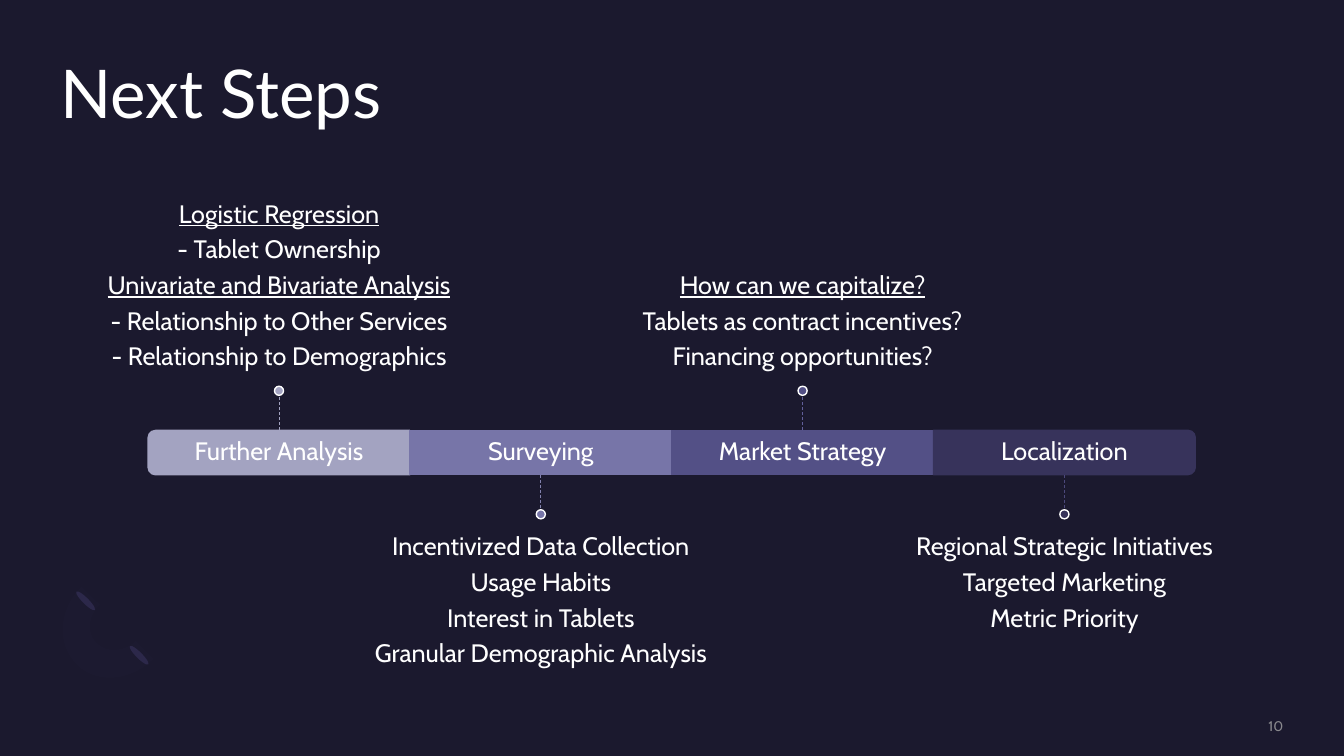
from lxml import etree
from pptx import Presentation
from pptx.dml.color import RGBColor
from pptx.enum.dml import MSO_LINE
from pptx.enum.shapes import MSO_CONNECTOR, MSO_SHAPE
from pptx.enum.text import MSO_ANCHOR, PP_ALIGN
from pptx.oxml.ns import qn
from pptx.util import Pt

COLORS = {"bg": "1B192E", "text": "FFFFFF", "petal": "2C284A", "arc": "7771B2", "number": "A6A6A6"}
BODY = {"size": 18, "font": "Cabin", "color": COLORS["text"], "align": PP_ALIGN.CENTER, "spacing": 0.9, "after": 6}
STEPS = [
    {"label": "Further Analysis", "fill": "A3A3C1", "line": "A3A3C1", "rotation": 270,
     "notes": ["Logistic Regression", "- Tablet Ownership", "Univariate and Bivariate Analysis",
               "- Relationship to Other Services", "- Relationship to Demographics"],
     "headings": (0, 2)},
    {"label": "Surveying", "fill": "7775A8", "line": "8281AE", "rotation": 0,
     "notes": ["Incentivized Data Collection", "Usage Habits", "Interest in Tablets",
               "Granular Demographic Analysis"],
     "headings": ()},
    {"label": "Market Strategy", "fill": "535086", "line": "625F9A", "rotation": 0,
     "notes": ["How can we capitalize?", "Tablets as contract incentives?", "Financing opportunities?"],
     "headings": (0,)},
    {"label": "Localization", "fill": "37335B", "line": "4C487B", "rotation": 90,
     "notes": ["Regional Strategic Initiatives", "Targeted Marketing", "Metric Priority"],
     "headings": ()},
]


def rgb(value):
    return RGBColor.from_string(value)


def set_alpha(fill_parent, percent):
    color = next(fill_parent.iter(qn("a:srgbClr")))
    etree.SubElement(color, qn("a:alpha"), val=str(percent * 1000))


def write(tf, lines, style, anchor=MSO_ANCHOR.TOP, margins=(0, 0, 0, 0), underlined=()):
    frame = {"word_wrap": True, "vertical_anchor": anchor}
    frame.update(zip(("margin_left", "margin_top", "margin_right", "margin_bottom"), map(Pt, margins)))
    for name, value in frame.items():
        setattr(tf, name, value)
    for i, line in enumerate(lines):
        p = tf.paragraphs[0] if i == 0 else tf.add_paragraph()
        paragraph = {"alignment": style["align"], "line_spacing": style["spacing"],
                     "space_after": Pt(style["after"]), "space_before": Pt(0)}
        for name, value in paragraph.items():
            setattr(p, name, value)
        r = p.add_run()
        r.text = line
        font = {"size": Pt(style["size"]), "name": style["font"], "underline": i in underlined or None}
        for name, value in font.items():
            setattr(r.font, name, value)
        r.font.color.rgb = rgb(style["color"])


def add_text(s, box, lines, style, **options):
    tf = s.shapes.add_textbox(*map(Pt, box)).text_frame
    write(tf, lines, style, **options)
    return tf


def add_filled(s, kind, box, fill, line=None, rotation=0):
    sp = s.shapes.add_shape(kind, *map(Pt, box))
    sp.shadow.inherit = False
    sp.rotation = rotation
    sp.fill.solid()
    sp.fill.fore_color.rgb = rgb(fill)
    if line:
        sp.line.color.rgb = rgb(line)
        sp.line.width = Pt(1)
    else:
        sp.line.fill.background()


def add_stem(s, x, y1, y2, color):
    cx = s.shapes.add_connector(MSO_CONNECTOR.STRAIGHT, Pt(x), Pt(y1), Pt(x), Pt(y2))
    cx.line.color.rgb = rgb(color)
    cx.line.width = Pt(0.5)
    cx.line.dash_style = MSO_LINE.DASH
    etree.SubElement(cx.element.spPr, qn("a:effectLst"))


def bezier(p0, p1, p2, p3, steps=12):
    for i in range(1, steps + 1):
        t = i / steps
        weights = ((1 - t) ** 3, 3 * t * (1 - t) ** 2, 3 * t * t * (1 - t), t ** 3)
        yield tuple(sum(w * p[k] for w, p in zip(weights, (p0, p1, p2, p3))) for k in (0, 1))


def add_ornament(s, box):
    left, top, width, height = box
    outer = [(14.4, 55.4), (0, 41), (1.4, 16.6), (18, 0)]
    inner = [(31, 13), (22.3, 20.9), (21.6, 33.8), (28.8, 40.3),
             (36, 47.5), (48.2, 46.8), (56.9, 38.9)]
    outside = [(69.1, 51.8), (53.3, 67.7), (28.1, 69.8), (14.4, 55.4)]
    points = [outer[0], *bezier(*outer), inner[0], *bezier(*inner[:4]), *bezier(*inner[3:]),
              outside[0], *bezier(*outside)]
    points = [(Pt(left + x), Pt(top + y)) for x, y in points]
    builder = s.shapes.build_freeform(*points[0])
    builder.add_line_segments(points[1:], close=True)
    arc = builder.convert_to_shape()
    arc.shadow.inherit = False
    arc.fill.solid()
    arc.fill.fore_color.rgb = rgb(COLORS["arc"])
    set_alpha(arc.element.spPr, 2)
    arc.line.fill.background()
    for x, y in ((18.7, 0.8), (56.9, 39.7)):
        add_filled(s, MSO_SHAPE.OVAL, (left + x, top + y, 4.3, 18.7), COLORS["petal"], rotation=135)


def add_title(s, box, text):
    title = s.shapes.title
    for name, value in zip(("left", "top", "width", "height"), box):
        setattr(title, name, Pt(value))
    style = {**BODY, "size": 48, "font": "Lato", "align": PP_ALIGN.LEFT, "after": 0}
    write(title.text_frame, [text], style)


def add_step(s, box, step, above):
    left, top, width, height = box
    stem, dot, note_w, note_h = 25, 6.5, 312, 109.5
    middle = left + width / 2
    if step["rotation"]:
        turned = (middle - height / 2, top + height / 2 - width / 2, height, width)
        add_filled(s, MSO_SHAPE.ROUND_2_SAME_RECTANGLE, turned, step["fill"], step["fill"], step["rotation"])
    else:
        add_filled(s, MSO_SHAPE.RECTANGLE, box, step["fill"], step["fill"])
    add_text(s, box, [step["label"]], BODY, anchor=MSO_ANCHOR.MIDDLE, margins=(10.8,) * 4)
    if above:
        edge, tip, dot_top = top, top - stem, top - stem - dot
        note_top, anchor, margins = dot_top - note_h, MSO_ANCHOR.BOTTOM, (0, 0, 0, 10.8)
    else:
        edge, tip, dot_top = top + height, top + height + stem, top + height + stem
        note_top, anchor, margins = dot_top + dot, MSO_ANCHOR.TOP, (0, 10.8, 0, 0)
    add_text(s, (middle - note_w / 2, note_top, note_w, note_h), step["notes"], BODY,
             anchor=anchor, margins=margins, underlined=step["headings"])
    add_stem(s, middle, edge, tip, step["line"])
    add_filled(s, MSO_SHAPE.OVAL, (middle - dot / 2, dot_top, dot, dot), step["fill"], COLORS["text"])


def add_timeline(s, box, steps):
    left, top, width, height = box
    step_w = width / len(steps)
    for i, step in enumerate(steps):
        add_step(s, (left + i * step_w, top, step_w, height), step, above=i % 2 == 0)


def add_page_number(s, box, number):
    style = {**BODY, "size": 10, "color": COLORS["number"], "align": PP_ALIGN.RIGHT, "spacing": 1.0, "after": 0}
    tf = add_text(s, box, [number], style, anchor=MSO_ANCHOR.MIDDLE)
    set_alpha(tf.paragraphs[0].runs[0].font.fill._xPr, 80)


prs = Presentation()
prs.slide_width, prs.slide_height = Pt(960), Pt(540)
s = prs.slides.add_slide(prs.slide_layouts[5])
s.background.fill.solid()
s.background.fill.fore_color.rgb = rgb(COLORS["bg"])
add_ornament(s, (40.3, 419, 69.1, 70))
add_title(s, (43.2, 43.2, 873.4, 105), "Next Steps")
add_timeline(s, (105.8, 307.4, 748, 31.7), STEPS)
add_page_number(s, (783.4, 512.6, 133.2, 12.2), "10")
prs.save("out.pptx")
